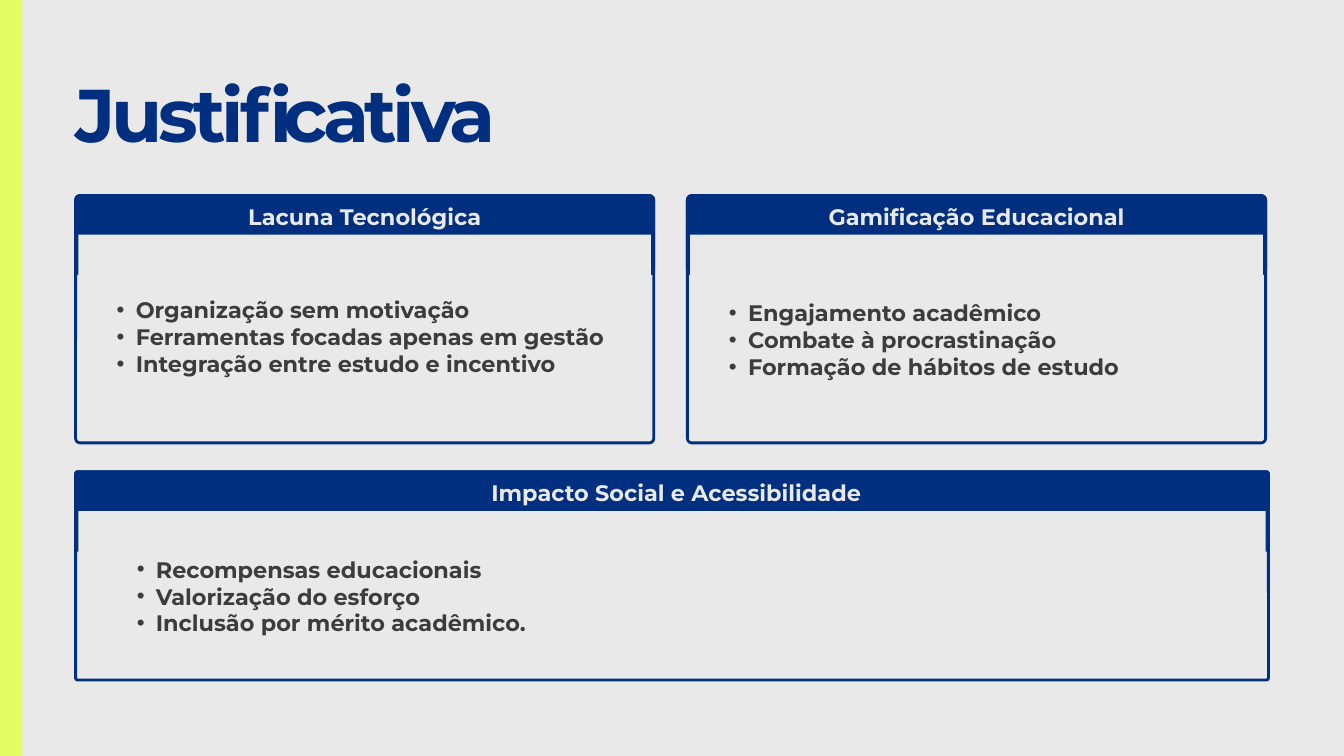
from dataclasses import dataclass

from lxml import etree
from pptx import Presentation
from pptx.dml.color import RGBColor
from pptx.enum.shapes import MSO_SHAPE
from pptx.enum.text import MSO_ANCHOR, PP_ALIGN
from pptx.oxml.ns import qn
from pptx.util import Pt

RECTANGLE = MSO_SHAPE.RECTANGLE
ROUNDED = MSO_SHAPE.ROUNDED_RECTANGLE
LEFT, CENTER = PP_ALIGN.LEFT, PP_ALIGN.CENTER
TOP = MSO_ANCHOR.TOP

FONT = "Montserrat"
NAVY, PAPER, LIME, INK = "002F7F", "E9E9E9", "E5FD64", "3C3C3C"
SLIDE_WIDTH, SLIDE_HEIGHT = 1440, 810
MARGIN = 81
BORDER = 3
HEADER_HEIGHT = 42
TEXT_SIZE, LINE_SPACING = 24, 28.8
BULLET_MARGIN, BULLET_HANGING = 41, 20.4


@dataclass
class Box:
    left: float
    top: float
    width: float
    height: float


@dataclass
class Card:
    frame: Box
    radius: float
    title: str
    title_box: Box
    items: list[str]
    items_box: Box


CARDS = [
    Card(
        Box(MARGIN, 209.5, 619.5, 265), 4.7,
        "Lacuna Tecnológica", Box(85.5, 217.5, 610.5, 28),
        ["Organização sem motivação",
         "Ferramentas focadas apenas em gestão",
         "Integração entre estudo e incentivo"],
        Box(104.5, 317.5, 575.5, 85),
    ),
    Card(
        Box(736.5, 209.5, 619.5, 265), 4.7,
        "Gamificação Educacional", Box(741, 217.5, 610.5, 28),
        ["Engajamento acadêmico",
         "Combate à procrastinação",
         "Formação de hábitos de estudo"],
        Box(760.5, 320.5, 575.5, 85),
    ),
    Card(
        Box(MARGIN, 505.5, 1278, 223), 2,
        "Impacto Social e Acessibilidade", Box(90, 513.5, 1269, 28),
        ["Recompensas educacionais",
         "Valorização do esforço",
         "Inclusão por mérito acadêmico."],
        Box(126, 595.5, 1197, 85),
    ),
]


def color(value: str) -> RGBColor:
    return RGBColor.from_string(value)


def add_box(slide, box: Box, fill: str | None = None, line: str | None = None,
            radius: float = 0):
    """Draw a rectangle, rounded when a corner radius is given."""
    shape = slide.shapes.add_shape(
        ROUNDED if radius else RECTANGLE,
        Pt(box.left), Pt(box.top), Pt(box.width), Pt(box.height))
    shape.shadow.inherit = False
    if radius:
        shape.adjustments[0] = radius / min(box.width, box.height)
    if fill:
        shape.fill.solid()
        shape.fill.fore_color.rgb = color(fill)
    else:
        shape.fill.background()
    if line:
        shape.line.color.rgb = color(line)
        shape.line.width = Pt(BORDER)
    else:
        shape.line.fill.background()


def add_bullet(paragraph) -> None:
    paragraph.level = 1
    properties = paragraph._p.get_or_add_pPr()
    properties.set("marL", str(Pt(BULLET_MARGIN)))
    properties.set("indent", str(-Pt(BULLET_HANGING)))
    etree.SubElement(properties, qn("a:buFont")).set("typeface", "Arial")
    etree.SubElement(properties, qn("a:buChar")).set("char", "•")


def add_text(slide, box: Box, lines: list[str], text_color: str,
             size: float = TEXT_SIZE, spacing: float = LINE_SPACING,
             align=LEFT, bullets: bool = False, tracking: float = 0) -> None:
    """Add a text box with one paragraph per line; tracking is in points."""
    shape = slide.shapes.add_textbox(
        Pt(box.left), Pt(box.top), Pt(box.width), Pt(box.height))
    frame = shape.text_frame
    frame.word_wrap = True
    frame.vertical_anchor = TOP
    frame.margin_left = frame.margin_right = 0
    frame.margin_top = frame.margin_bottom = 0
    for index, line in enumerate(lines):
        paragraph = frame.add_paragraph() if index else frame.paragraphs[0]
        if bullets:
            add_bullet(paragraph)
        paragraph.alignment = align
        paragraph.line_spacing = Pt(spacing)
        run = paragraph.add_run()
        run.text = line
        run.font.name = FONT
        run.font.size = Pt(size)
        run.font.bold = True
        run.font.color.rgb = color(text_color)
        if tracking:
            run._r.get_or_add_rPr().set("spc", str(round(tracking * 100)))


def add_card(slide, card: Card) -> None:
    frame = card.frame
    add_box(slide, frame, line=NAVY, radius=card.radius)
    header = Box(frame.left, frame.top, frame.width, 2 * HEADER_HEIGHT)
    add_box(slide, header, NAVY, NAVY, card.radius)
    # The lower half of the header is covered, leaving only its side edges.
    cover = Box(frame.left + BORDER, frame.top + HEADER_HEIGHT,
                frame.width - 2 * BORDER, 101)
    add_box(slide, cover, PAPER)
    add_text(slide, card.items_box, card.items, INK, bullets=True)
    add_text(slide, card.title_box, [card.title], PAPER, align=CENTER)


def main() -> None:
    presentation = Presentation()
    presentation.slide_width = Pt(SLIDE_WIDTH)
    presentation.slide_height = Pt(SLIDE_HEIGHT)
    slide = presentation.slides.add_slide(presentation.slide_layouts[6])
    slide.background.fill.solid()
    slide.background.fill.fore_color.rgb = color(PAPER)

    add_box(slide, Box(0, 0, 24, SLIDE_HEIGHT), LIME)
    for card in CARDS:
        add_card(slide, card)
    add_text(slide, Box(MARGIN, 105, 1278, 72), ["Justificativa"], NAVY,
             size=80, spacing=64, tracking=-4.7)
    presentation.save("out.pptx")


if __name__ == "__main__":
    main()
